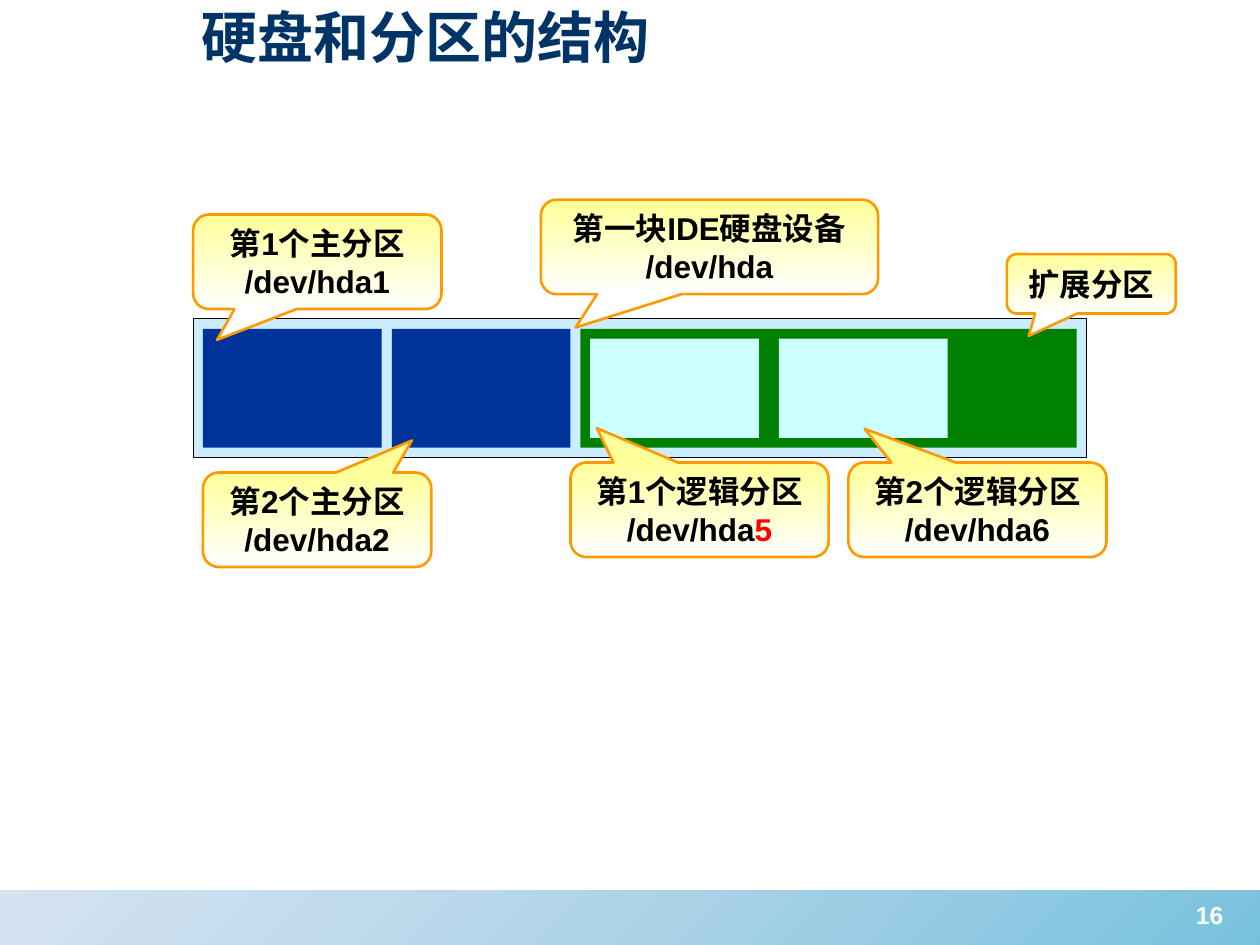
from lxml.etree import SubElement
from pptx import Presentation
from pptx.dml.color import RGBColor
from pptx.enum.shapes import MSO_SHAPE
from pptx.enum.text import MSO_ANCHOR, PP_ALIGN
from pptx.oxml.ns import qn
from pptx.util import Pt

COLORS = {
    "title": "003366", "black": "000000", "white": "FFFFFF", "red": "FF0000",
    "disk": "CCECFF", "primary": "003399", "extended": "008000", "logical": "CCFFFF",
    "callout": "FFFF99", "border": "FF9900", "band_left": "88B0D8", "band_right": "1C99C6",
}


def write_text(para, text, size=18, color="black", align=PP_ALIGN.CENTER):
    para.alignment = align
    span = para.add_run()
    span.text = text
    span.font.name = "Arial"
    span.font.size = Pt(size)
    span.font.bold = True
    span.font.color.rgb = RGBColor.from_string(COLORS[color])


def add_block(kind, place, fill, end=None, angle=270, line=None, width=0.75):
    block = page.shapes.add_shape(kind, *map(Pt, place))
    block.shadow.inherit = False
    if end:
        block.fill.gradient()
        block.fill.gradient_angle = angle
        for stop, name, position in zip(block.fill.gradient_stops, (fill, end), (0, 1)):
            stop.color.rgb = RGBColor.from_string(COLORS[name])
            stop.position = position
    else:
        block.fill.solid()
        block.fill.fore_color.rgb = RGBColor.from_string(COLORS[fill])
    if line:
        block.line.color.rgb = RGBColor.from_string(COLORS[line])
        block.line.width = Pt(width)
    else:
        block.line.fill.background()
    return block


deck = Presentation()
deck.slide_width, deck.slide_height = Pt(720), Pt(540)
page = deck.slides.add_slide(deck.slide_layouts[5])

band = add_block(MSO_SHAPE.RECTANGLE, (0, 508.8, 720, 31.2), "band_left", "band_right", 315)
for color, opacity in zip(band.fill._fill._gradFill.iter(qn("a:srgbClr")), (35, 60)):
    SubElement(color, qn("a:alpha"), val=str(opacity * 1000))

number = page.shapes.add_textbox(Pt(665.3), Pt(510.5), Pt(51.8), Pt(37.4))
number.text_frame.word_wrap = True
write_text(number.text_frame.paragraphs[0], "16", size=14, color="white")

title = page.shapes.title
title.left, title.top, title.width, title.height = Pt(108), Pt(-2.2), Pt(581), Pt(45.4)
title.text_frame.vertical_anchor = MSO_ANCHOR.MIDDLE
write_text(title.text_frame.paragraphs[0], "硬盘和分区的结构",
           size=32, color="title", align=PP_ALIGN.LEFT)

pitch = 107.9
add_block(MSO_SHAPE.RECTANGLE, (110.4, 182.1, 510.4, 79.3), "disk", line="black")
for index in range(2):
    add_block(MSO_SHAPE.RECTANGLE, (116 + index * pitch, 188, 102.1, 67.8), "primary")
add_block(MSO_SHAPE.RECTANGLE, (331.7, 188, 283.5, 67.8), "extended")
for index in range(2):
    add_block(MSO_SHAPE.RECTANGLE, (337.2, 193.5, 96.4, 56.8) if index == 0
              else (337.2 + pitch, 193.5, 96.4, 56.8), "logical")

callouts = [
    ((110.4, 122.6, 141.9, 54), (-0.404, 0.827), [["第1个主分区 /dev/hda1"]]),
    ((116, 270, 130.5, 54), (0.415, -0.839), [["第2个主分区"], ["/dev/hda2"]]),
    ((326, 264.3, 147.5, 54), (-0.398, -0.864), [["第1个逻辑分区"], ["/dev/hda", "5"]]),
    ((484.8, 264.3, 147.5, 54), (-0.437, -0.857), [["第2个逻辑分区"], ["/dev/hda6"]]),
    ((575.4, 145.2, 96.5, 34), (-0.37, 0.875), [["扩展分区"]]),
    ((309.1, 114.1, 192.7, 54), (-0.397, 0.853), [["第一块IDE硬盘设备"], ["/dev/hda"]]),
]
for place, pointer, lines in callouts:
    callout = add_block(MSO_SHAPE.ROUNDED_RECTANGULAR_CALLOUT, place, "callout", "white",
                        line="border", width=1.5)
    callout.adjustments[0], callout.adjustments[1] = pointer
    frame = callout.text_frame
    frame.word_wrap = True
    frame.vertical_anchor = MSO_ANCHOR.MIDDLE
    for index, spans in enumerate(lines):
        para = frame.add_paragraph() if index else frame.paragraphs[0]
        for text in spans:
            write_text(para, text, color="red" if text == "5" else "black")

deck.save("out.pptx")
